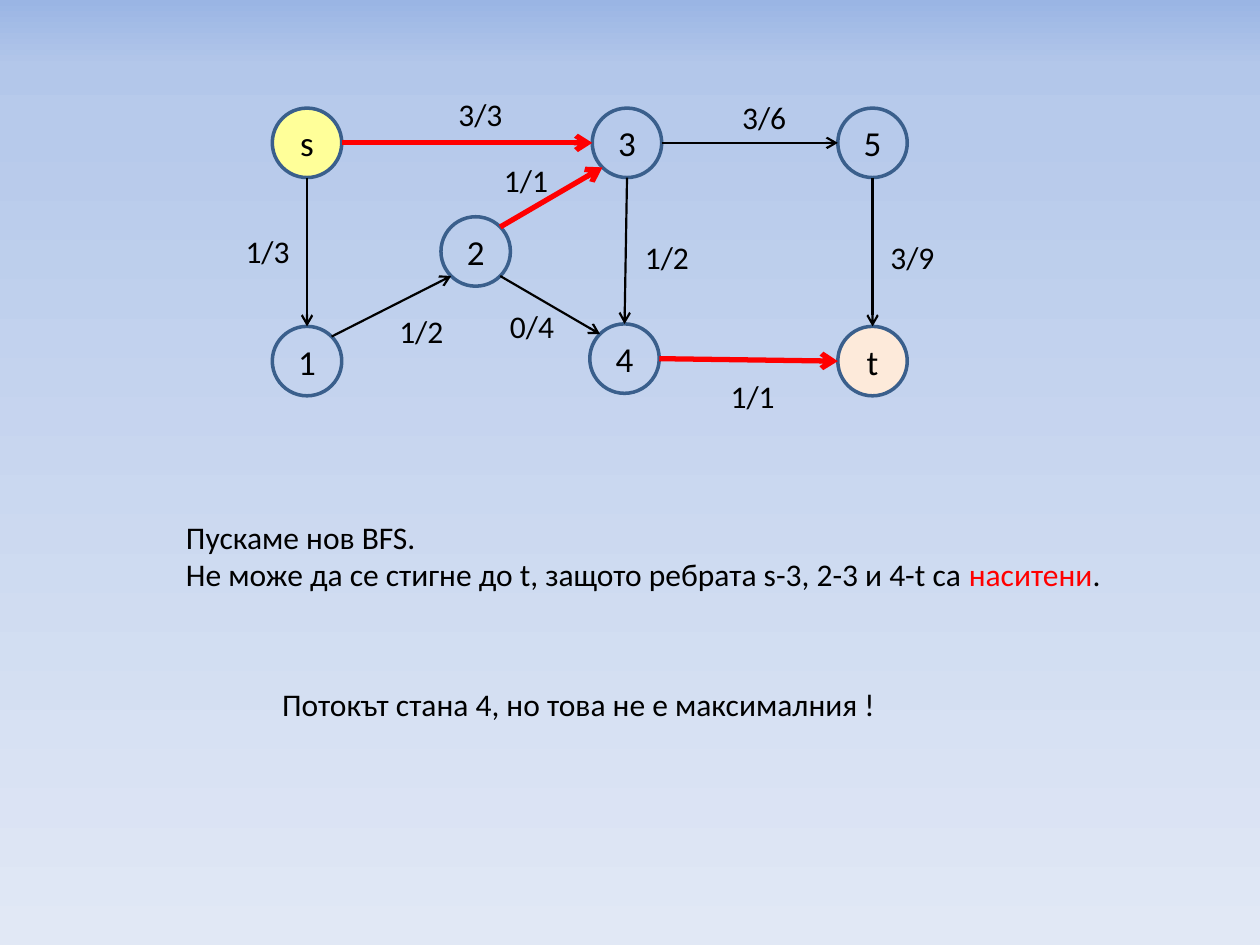
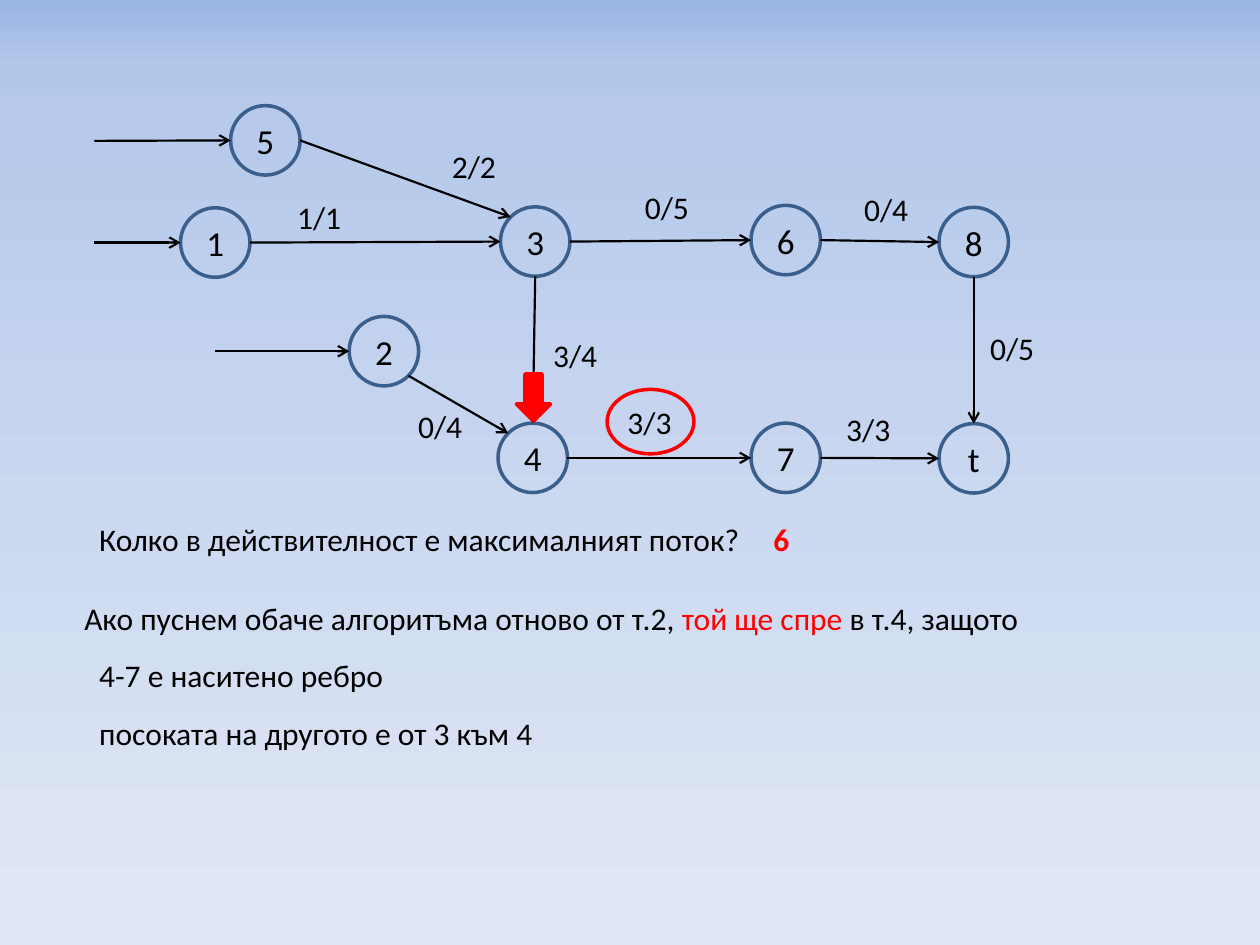
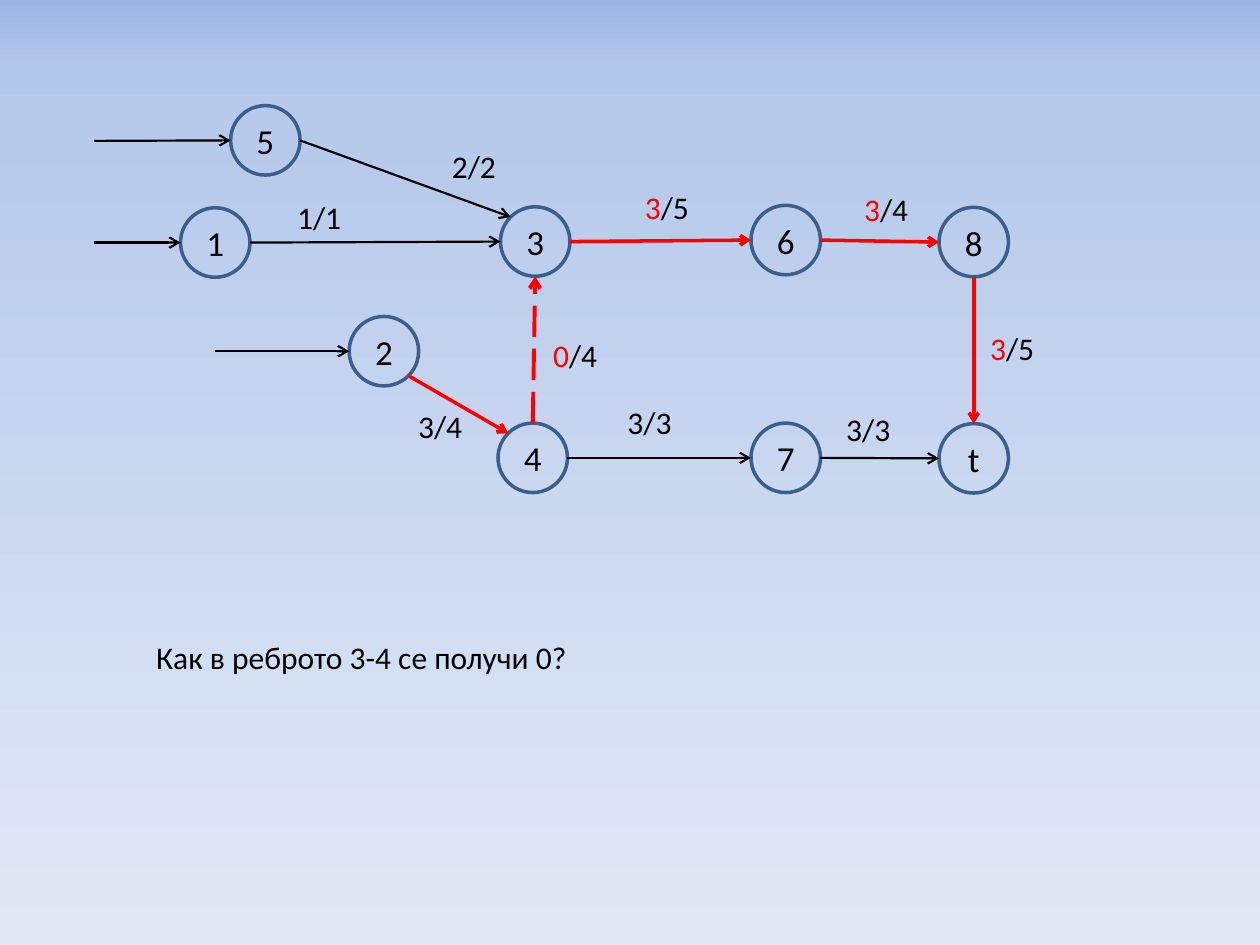
"""Builds three slides on augmenting paths in flow networks."""
from math import sqrt

from pptx import Presentation
from pptx.dml.color import RGBColor
from pptx.enum.dml import MSO_LINE
from pptx.enum.shapes import MSO_CONNECTOR, MSO_SHAPE
from pptx.enum.text import MSO_ANCHOR, MSO_AUTO_SIZE, PP_ALIGN
from pptx.oxml import parse_xml
from pptx.oxml.ns import nsdecls, qn
from pptx.util import Cm, Pt

FONT = "Calibri"
BLACK, RED, OUTLINE = "000000", "FF0000", "3A5F8C"
BACKGROUND = [(0, "9AB5E4"), (7, "B3C7EA"), (13, "B7CAEB"), (100, "E1E8F5")]
NODE, LABEL_W, LINE_H = 1.4, 1.85, 1.02
THIN = 1.25
DIRECTIONS = {"N": (0, -1), "S": (0, 1), "W": (-1, 0), "E": (1, 0),
              "NW": (-1, -1), "NE": (1, -1), "SW": (-1, 1), "SE": (1, 1)}

SMALL_NODES = {"s": (6.19, 2.88), "3": (12.64, 2.88), "1": (6.19, 7.28),
               "4": (12.59, 7.23), "5": (17.59, 2.88), "t": (17.59, 7.28),
               "2": (9.59, 5.07)}
SMALL_FILLS = {"s": "FFFF99", "t": "FDEADA"}
SMALL_EDGES = {"s3": ("E", "W", 8.99, 1.8), "35": ("E", "W", 14.71, 1.85),
               "5t": ("S", "N", 17.7, 4.67), "23": ("NE", "SW", 9.91, 3.12),
               "s1": ("S", "N", 4.7, 4.55), "12": ("NE", "SW", 7.8, 6.17),
               "24": ("SE", "NW", 10.03, 6.07), "34": ("S", "N", 12.75, 4.67),
               "4t": ("E", "W", 14.48, 7.47)}
SMALL_FLOWS = {"s3": "3/3", "35": "3/6", "5t": "3/9", "23": "1/1", "s1": "1/3",
               "12": "1/2", "24": "0/4", "34": "1/2", "4t": "1/1"}
SATURATED = {"s3", "23", "4t"}

LARGE_NODES = {"3": (10.79, 4.87), "4": (10.74, 9.23), "2": (7.74, 7.08),
               "1": (4.34, 4.89), "5": (5.35, 2.83), "6": (15.84, 4.84),
               "7": (15.84, 9.23), "8": (19.63, 4.88), "t": (19.63, 9.24)}
LARGE_EDGES = {"13": ("E", "W", 5.74, 3.86), "36": ("E", "W", 12.75, 3.66),
               "24": ("SE", "NW", 8.18, 8.08), "34": ("S", "N", 10.9, 6.65),
               "53": ("E", "NW", 8.86, 2.84), "47": ("E", "W", 12.4, 8.0),
               "68": ("E", "W", 17.17, 3.71), "7t": ("E", "W", 16.81, 8.15),
               "8t": ("S", "N", 19.71, 6.5)}
BEFORE = {"13": "1/1", "36": "0/5", "24": "0/4", "34": "3/4", "53": "2/2",
          "47": "3/3", "68": "0/4", "7t": "3/3", "8t": "0/5"}
AFTER = {**BEFORE, "36": "3/5", "24": "3/4", "34": "0/4", "68": "3/4", "8t": "3/5"}
AUGMENTED = {"24", "36", "68", "8t"}
CHANGED = {"34", "36", "68", "8t"}
INCOMING = {"5": (1.9, 2.84), "1": (1.9, 4.89), "2": (4.34, 7.08)}

SMALL_NOTES = [
    (3.5, 10.31, 19.81, True,
     [[("Пускаме нов BFS.", BLACK)],
      [("Не може да се стигне до t, защото ребрата s-3, 2-3 и 4-t са ", BLACK),
       ("наситени", RED), (".", BLACK)]]),
    (5.44, 13.69, 12.6, False,
     [[("Потокът стана 4, но това не е максималния !", BLACK)]]),
]
BEFORE_NOTES = [
    (1.45, 11.96, 23.34, True,
     [[("Ако пуснем обаче алгоритъма отново от т.2, ", BLACK),
       ("той ще спре ", RED), ("в т.4, защото ", BLACK)]]),
    (1.75, 13.11, 6.32, False, [[("4-7 е наситено ребро", BLACK)]]),
    (1.75, 14.27, 9.35, False, [[("посоката на другото е от 3 към 4", BLACK)]]),
    (1.75, 10.36, 13.56, False,
     [[("Колко в действителност е максималният поток?", BLACK)]]),
]
ANSWER = (15.34, 10.36, 0.84, False, [[("6", RED)]])
AFTER_NOTES = [(2.9, 12.73, 8.89, False, [[("Как в реброто 3-4 се получи 0?", BLACK)]])]


def color(value):
    return RGBColor.from_string(value)


def style_run(r, value, size, bold=None):
    r.font.name, r.font.size, r.font.bold = FONT, Pt(size), bold
    r.font.color.rgb = color(value)


def set_background(master):
    master.background.fill.gradient()
    grad = master.element.find(".//" + qn("a:gradFill"))
    stops = "".join(f'<a:gs pos="{pos * 1000}"><a:srgbClr val="{value}"/></a:gs>'
                    for pos, value in BACKGROUND)
    grad.replace(grad.find(qn("a:gsLst")),
                 parse_xml(f'<a:gsLst {nsdecls("a")}>{stops}</a:gsLst>'))
    grad.find(qn("a:lin")).set("ang", "5400000")


def add_text(shapes, x, y, w, wrap, paragraphs, bold=None):
    tf = shapes.add_textbox(Cm(x), Cm(y), Cm(w), Cm(LINE_H)).text_frame
    tf.word_wrap = wrap
    tf.auto_size = MSO_AUTO_SIZE.SHAPE_TO_FIT_TEXT
    for i, runs in enumerate(paragraphs):
        p = tf.add_paragraph() if i else tf.paragraphs[0]
        for text, value in runs:
            r = p.add_run()
            r.text = text
            style_run(r, value, 18, bold)


def add_outline(shapes, kind, x, y, w, h, line, fill=None):
    sp = shapes.add_shape(kind, Cm(x), Cm(y), Cm(w), Cm(h))
    sp.shadow.inherit = False
    sp.line.color.rgb = color(line)
    sp.line.width = Pt(2)
    if fill:
        sp.fill.solid()
        sp.fill.fore_color.rgb = color(fill)
    else:
        sp.fill.background()
    return sp


def add_node(shapes, name, center, fill=None):
    x, y = (c - NODE / 2 for c in center)
    sp = add_outline(shapes, MSO_SHAPE.OVAL, x, y, NODE, NODE, OUTLINE, fill)
    tf = sp.text_frame
    tf.text = name
    tf.vertical_anchor = MSO_ANCHOR.MIDDLE
    p = tf.paragraphs[0]
    p.alignment = PP_ALIGN.CENTER
    style_run(p.runs[0], BLACK, 20)


def rim(center, side):
    dx, dy = DIRECTIONS[side]
    reach = NODE / 2 / sqrt(dx * dx + dy * dy)
    return center[0] + dx * reach, center[1] + dy * reach


def add_arrow(shapes, start, end, value=BLACK, width=THIN, dashed=False):
    cx = shapes.add_connector(MSO_CONNECTOR.STRAIGHT, *map(Cm, start + end))
    cx.line.color.rgb = color(value)
    cx.line.width = Pt(width)
    if dashed:
        cx.line.dash_style = MSO_LINE.LONG_DASH
    ln = cx.line._get_or_add_ln()
    ln.append(parse_xml(f'<a:tailEnd {nsdecls("a")} type="arrow"/>'))
    ln.addnext(parse_xml(f'<a:effectLst {nsdecls("a")}/>'))


def add_network(shapes, nodes, edges, flows, fills={}, red=(), red_width=2,
                changed=(), reverse=()):
    for name, center in nodes.items():
        add_node(shapes, name, center, fills.get(name))
    for edge, (out, into, x, y) in edges.items():
        start, end = rim(nodes[edge[0]], out), rim(nodes[edge[1]], into)
        if edge in reverse:
            add_arrow(shapes, end, start, RED, 2.25, True)
        elif edge in red:
            add_arrow(shapes, start, end, RED, red_width)
        else:
            add_arrow(shapes, start, end)
        flow = flows[edge]
        runs = [(flow[0], RED), (flow[1:], BLACK)] if edge in changed else [(flow, BLACK)]
        add_text(shapes, x, y, LABEL_W, True, [runs])


def add_incoming(shapes):
    for name, start in INCOMING.items():
        add_arrow(shapes, start, rim(LARGE_NODES[name], "W"))


def add_notes(shapes, notes):
    for note in notes:
        add_text(shapes, *note)


prs = Presentation()
prs.slide_width, prs.slide_height = Cm(25.4), Cm(19.05)
set_background(prs.slide_master)
small, before, after = (prs.slides.add_slide(prs.slide_layouts[6]).shapes for _ in range(3))

add_network(small, SMALL_NODES, SMALL_EDGES, SMALL_FLOWS, SMALL_FILLS, SATURATED, 3)
add_notes(small, SMALL_NOTES)

add_network(before.add_group_shape().shapes, LARGE_NODES, LARGE_EDGES, BEFORE)
add_notes(before, BEFORE_NOTES)
add_text(before, *ANSWER, bold=True)
add_outline(before, MSO_SHAPE.OVAL, 12.24, 7.85, 1.75, 1.3, RED)
add_outline(before, MSO_SHAPE.DOWN_ARROW, 10.41, 7.54, 0.69, 0.95, RED, RED)
add_incoming(before)

add_network(after, LARGE_NODES, LARGE_EDGES, AFTER, red=AUGMENTED,
            changed=CHANGED, reverse={"34"})
add_notes(after, AFTER_NOTES)
add_incoming(after)

prs.save("out.pptx")
